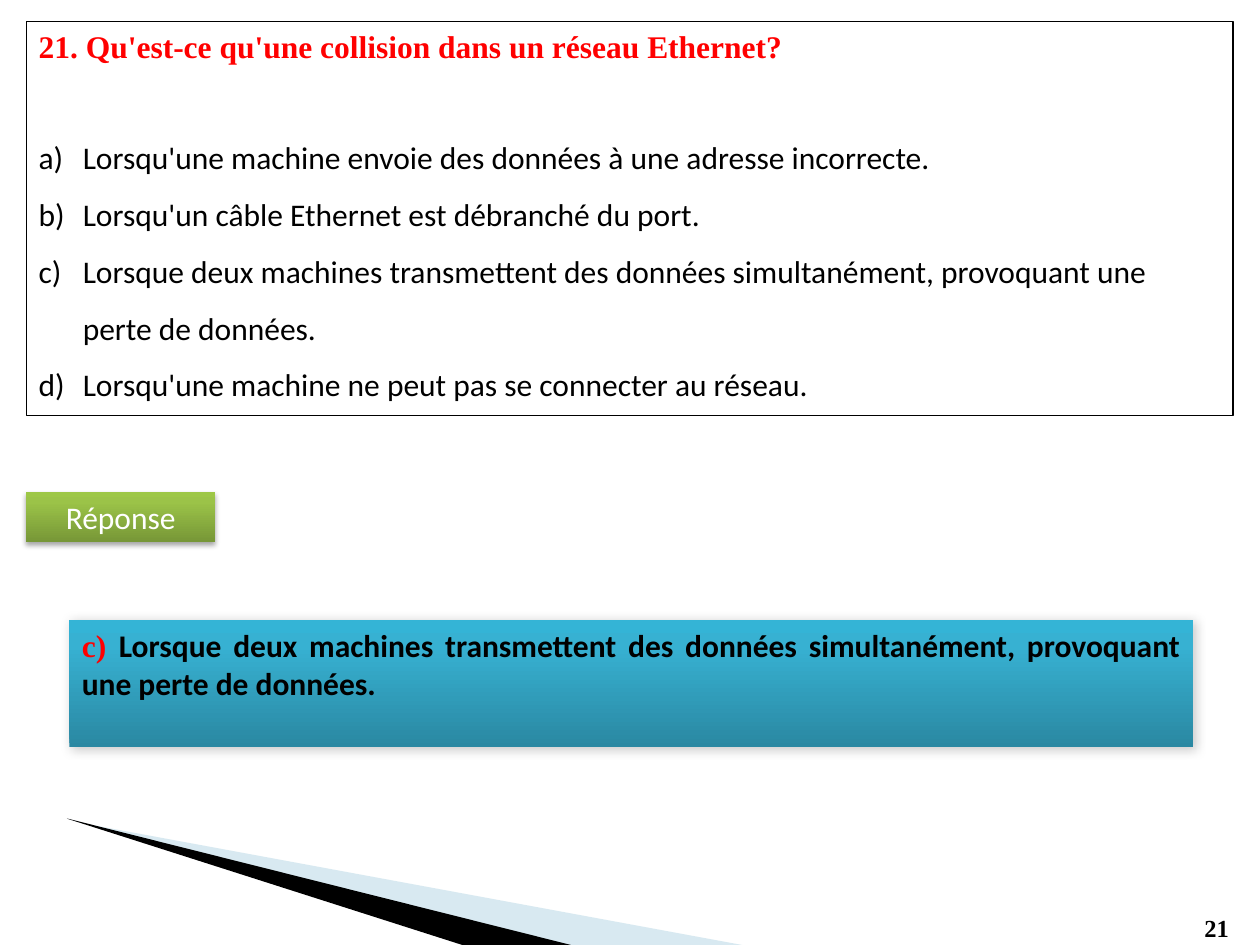
from lxml import etree
from pptx import Presentation
from pptx.dml.color import RGBColor
from pptx.enum.shapes import MSO_SHAPE
from pptx.enum.text import MSO_ANCHOR, PP_ALIGN
from pptx.oxml.ns import qn
from pptx.util import Cm, Pt
from copy import deepcopy

RECTANGLE = MSO_SHAPE.RECTANGLE
TOP = MSO_ANCHOR.TOP
LEFT, CENTER, JUSTIFY = PP_ALIGN.LEFT, PP_ALIGN.CENTER, PP_ALIGN.JUSTIFY
SERIF, SANS = "Times New Roman", "Calibri"
COLORS = {"black": "000000", "white": "FFFFFF", "red": "FF0000", "pale": "9FCADC"}
GREEN_STOPS = [(0, "779737"), (0.8, "9BC348"), (1, "9DC746")]
BLUE_STOPS = [(0, "2A88A2"), (0.8, "37B1D2"), (1, "34B4D6")]
OPTIONS = [
    "Lorsqu'une machine envoie des données à une adresse incorrecte.",
    "Lorsqu'un câble Ethernet est débranché du port.",
    "Lorsque deux machines transmettent des données simultanément, provoquant une perte de données.",
    "Lorsqu'une machine ne peut pas se connecter au réseau.",
]


class QuizSlide:
    def __init__(self, presentation):
        self.slide = presentation.slides.add_slide(presentation.slide_layouts[6])

    def color(self, name):
        return RGBColor.from_string(COLORS[name])

    def format_run(self, run, font, color, bold=False, size=18):
        run.font.name = font
        run.font.size = Pt(size)
        run.font.bold = bold
        run.font.color.rgb = self.color(color)

    def wedge(self, points, color, opacity=100):
        corners = [(Cm(x), Cm(y)) for x, y in points]
        builder = self.slide.shapes.build_freeform(*corners[0])
        builder.add_line_segments(corners[1:])
        shape = builder.convert_to_shape()
        shape.shadow.inherit = False
        shape.line.fill.background()
        shape.fill.solid()
        shape.fill.fore_color.rgb = self.color(color)
        if opacity < 100:
            fill_color = shape._element.spPr.find(f"{qn('a:solidFill')}/{qn('a:srgbClr')}")
            etree.SubElement(fill_color, qn("a:alpha"), val=str(opacity * 1000))

    def box(self, left, top, width, height):
        shape = self.slide.shapes.add_shape(RECTANGLE, Cm(left), Cm(top), Cm(width), Cm(height))
        shape.shadow.inherit = False
        shape.fill.background()
        shape.line.fill.background()
        shape.text_frame.word_wrap = True
        shape.text_frame.vertical_anchor = TOP
        return shape

    def gradient(self, shape, stops):
        shape.fill.gradient()
        shape.fill.gradient_angle = 90
        stop_list = shape._element.spPr.find(f"{qn('a:gradFill')}/{qn('a:gsLst')}")
        stop_list.append(deepcopy(stop_list[-1]))
        for stop, (position, color) in zip(shape.fill.gradient_stops, stops):
            stop.position = position
            stop.color.rgb = RGBColor.from_string(color)

    def shadow(self, shape, opacity, blur, distance, angle):
        effects = shape._element.spPr.find(qn("a:effectLst"))
        outer = etree.SubElement(
            effects, qn("a:outerShdw"), blurRad=str(Pt(blur)), dist=str(Pt(distance)),
            dir=str(angle * 60000), rotWithShape="0")
        shadow_color = etree.SubElement(outer, qn("a:srgbClr"), val=COLORS["black"])
        etree.SubElement(shadow_color, qn("a:alpha"), val=str(opacity * 1000))

    def page_number(self, text, left, top, width, height):
        text_box = self.slide.shapes.add_textbox(Cm(left), Cm(top), Cm(width), Cm(height))
        text_box.text_frame.word_wrap = True
        text_box.text_frame.text = text
        self.format_run(text_box.text_frame.paragraphs[0].runs[0], SERIF, "black", True, 14)

    def question(self, title, options, *place):
        shape = self.box(*place)
        shape.line.color.rgb = self.color("black")
        shape.line.width = Pt(0.75)
        shape.text_frame.text = "\n".join([title, *options])
        heading, *choices = shape.text_frame.paragraphs
        heading.alignment = LEFT
        self.format_run(heading.runs[0], SERIF, "red", True)
        for choice in choices:
            properties = choice._p.get_or_add_pPr()
            properties.set("marL", str(Cm(0.89)))
            properties.set("indent", str(Cm(-0.89)))
            etree.SubElement(properties, qn("a:buAutoNum"), type="alphaLcParenR")
            choice.alignment = LEFT
            choice.line_spacing = 1.5
            self.format_run(choice.runs[0], SANS, "black")
        choices[0].space_before = Pt(31)

    def label(self, text, *place):
        shape = self.box(*place)
        self.gradient(shape, GREEN_STOPS)
        self.shadow(shape, 35, 3.1, 1.8, 90)
        shape.text_frame.text = text
        paragraph = shape.text_frame.paragraphs[0]
        paragraph.alignment = CENTER
        self.format_run(paragraph.runs[0], SANS, "white")

    def answer(self, letter, text, *place):
        shape = self.box(*place)
        self.gradient(shape, BLUE_STOPS)
        self.shadow(shape, 20, 6, 1, 45)
        shape.text_frame.text = f"{letter} "
        paragraph = shape.text_frame.paragraphs[0]
        paragraph.alignment = JUSTIFY
        self.format_run(paragraph.runs[0], SERIF, "red", True)
        run = paragraph.add_run()
        run.text = text
        self.format_run(run, SANS, "black", True)


def main():
    presentation = Presentation()
    presentation.slide_width = Cm(25.4)
    presentation.slide_height = Cm(19.05)
    quiz = QuizSlide(presentation)
    quiz.wedge([(1.4, 16.51), (1.63, 16.59), (11.46, 19.05), (14.96, 19.05), (1.63, 16.59)],
               "pale", 40)
    quiz.wedge([(1.35, 16.5), (1.37, 16.51), (9.32, 19.05), (11.51, 19.05)], "black")
    quiz.page_number("21", 24.03, 18.29, 1.35, 0.86)
    quiz.question("21. Qu'est-ce qu'une collision dans un réseau Ethernet?", OPTIONS,
                  0.53, 0.43, 24.33, 7.95)
    quiz.label("Réponse", 0.53, 9.91, 3.81, 1.02)
    quiz.answer("c)", OPTIONS[2], 1.4, 12.5, 22.66, 2.57)
    presentation.save("out.pptx")


if __name__ == "__main__":
    main()
